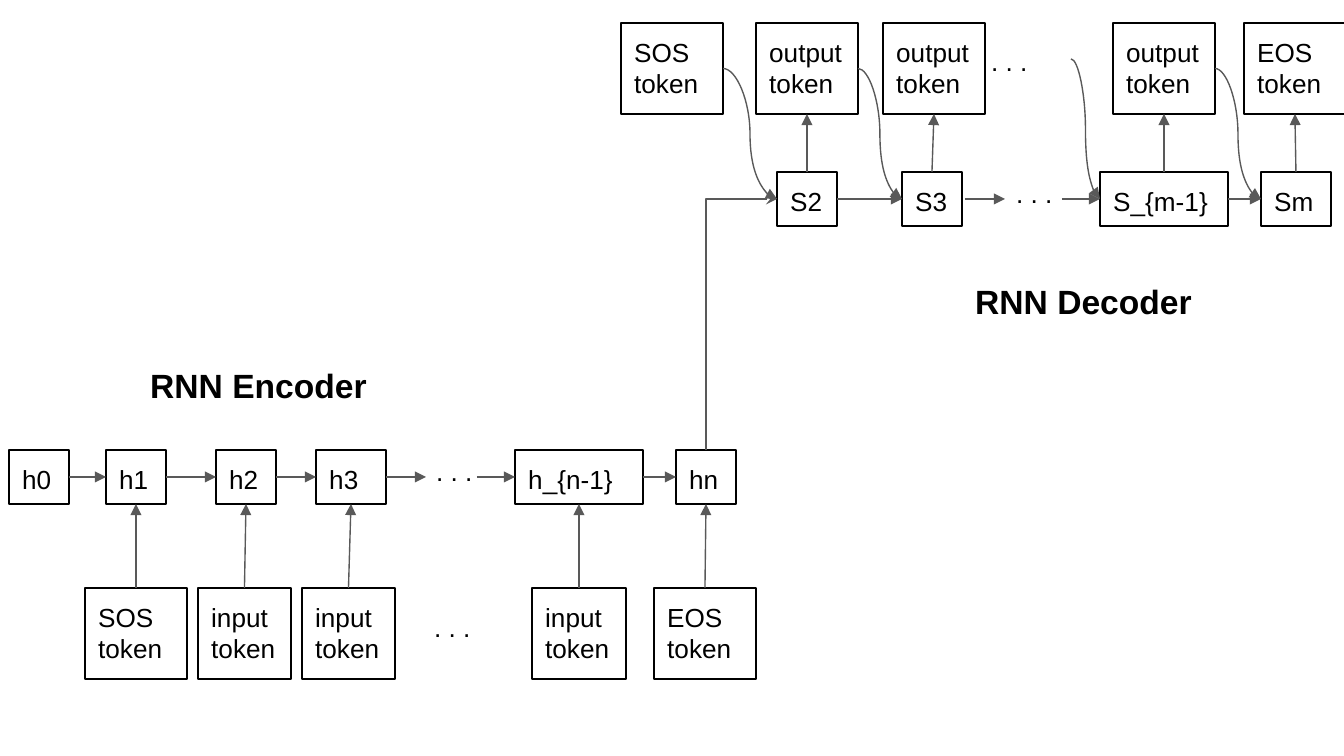
from lxml.etree import SubElement
from pptx import Presentation
from pptx.dml.color import RGBColor
from pptx.enum.shapes import MSO_CONNECTOR, MSO_SHAPE
from pptx.enum.text import MSO_ANCHOR, PP_ALIGN
from pptx.oxml.ns import qn
from pptx.util import Emu, Inches, Pt

PX_PER_INCH = 134.4
TOP, LEFT, BOTTOM, RIGHT = range(4)
BLACK, GREY = "000000", "595959"
TOKEN_HEIGHT, STATE_HEIGHT = 91, 54
ENCODER_TOKEN_Y, ENCODER_STATE_Y = 588, 450
DECODER_TOKEN_Y, DECODER_STATE_Y = 23, 172

# Each entry: text, left, width
ENCODER_TOKENS = [("SOS\ntoken", 85, 102), ("input token", 198, 93),
                  ("input token", 302, 93), ("input token", 532, 94),
                  ("EOS\ntoken", 654, 102)]
ENCODER_STATES = [("h0", 9, 60), ("h1", 106, 60), ("h2", 216, 60),
                  ("h3", 316, 70), ("h_{n-1}", 515, 128), ("hn", 676, 60)]
DECODER_TOKENS = [("SOS\ntoken", 621, 102), ("output token", 756, 102),
                  ("output token", 883, 102), ("output token", 1113, 102),
                  ("EOS\ntoken", 1244, 102)]
DECODER_STATES = [("S2", 777, 60), ("S3", 902, 60),
                  ("S_{m-1}", 1100, 128), ("Sm", 1261, 70)]
DOTS = [(423, 442), (421, 598), (978, 32), (1003, 164)]
HEADINGS = [("RNN Encoder", 137, 351), ("RNN Decoder", 962, 267)]


def px(value):
    return Emu(round(value * 914400 / PX_PER_INCH))


def colour(value):
    return RGBColor.from_string(value)


def write(shape, text, size=14, bold=False):
    frame = shape.text_frame
    frame.word_wrap = True
    frame.vertical_anchor = MSO_ANCHOR.TOP
    frame.margin_left = frame.margin_right = Inches(0.1)
    frame.margin_top = frame.margin_bottom = Inches(0.1)
    frame.text = text
    for para in frame.paragraphs:
        para.alignment = PP_ALIGN.LEFT
        for span in para.runs:
            span.font.name = "Arial"
            span.font.size = Pt(size)
            span.font.bold = bold
            span.font.color.rgb = colour(BLACK)


def add_box(slide, text, left, top, width, height):
    box = slide.shapes.add_shape(MSO_SHAPE.RECTANGLE, px(left), px(top),
                                 px(width), px(height))
    box.shadow.inherit = False
    box.fill.background()
    box.line.color.rgb = colour(BLACK)
    box.line.width = Pt(0.75)
    write(box, text)
    return box


def add_row(slide, entries, top, height):
    return [add_box(slide, text, left, top, width, height)
            for text, left, width in entries]


def add_label(slide, text, left, top, width, height, size=14, bold=False):
    label = slide.shapes.add_textbox(px(left), px(top), px(width), px(height))
    write(label, text, size, bold)


def add_arrow(slide, start, end, kind=MSO_CONNECTOR.STRAIGHT, head="triangle"):
    """Each end is either a (box, side) pair or an (x, y) point in px."""
    joined_start, joined_end = (not isinstance(place[0], int)
                                for place in (start, end))
    begin_point = (0, 0) if joined_start else start
    end_point = (0, 0) if joined_end else end
    arrow = slide.shapes.add_connector(kind, *map(px, begin_point),
                                       *map(px, end_point))
    if joined_start:
        arrow.begin_connect(*start)
    if joined_end:
        arrow.end_connect(*end)
    arrow.line.color.rgb = colour(GREY)
    arrow.line.width = Pt(0.75)
    SubElement(arrow.line._get_or_add_ln(), qn("a:tailEnd"), type=head)
    SubElement(arrow._element.spPr, qn("a:effectLst"))
    return arrow


def turn_into_corner(arrow):
    """Make an elbow that runs up and then right, with a single bend."""
    width, height = arrow.width, arrow.height
    arrow.left += (width - height) // 2
    arrow.top += (height - width) // 2
    arrow.width, arrow.height = height, width
    properties = arrow._element.spPr
    frame = properties.find(qn("a:xfrm"))
    frame.attrib.pop("flipV", None)
    frame.set("rot", str(270 * 60000))
    properties.find(qn("a:prstGeom")).set("prst", "bentConnector2")


def add_encoder(slide):
    tokens = add_row(slide, ENCODER_TOKENS, ENCODER_TOKEN_Y, TOKEN_HEIGHT)
    states = add_row(slide, ENCODER_STATES, ENCODER_STATE_Y, STATE_HEIGHT)
    for token, state in zip(tokens, states[1:]):
        add_arrow(slide, (token, TOP), (state, BOTTOM))
    h0, h1, h2, h3, before_last, last = states
    for left, right in ((h0, h1), (h1, h2), (h2, h3), (before_last, last)):
        add_arrow(slide, (left, RIGHT), (right, LEFT))
    middle = ENCODER_STATE_Y + STATE_HEIGHT // 2
    add_arrow(slide, (h3, RIGHT), (426, middle))
    add_arrow(slide, (477, middle), (before_last, LEFT))
    return last


def add_decoder(slide):
    tokens = add_row(slide, DECODER_TOKENS, DECODER_TOKEN_Y, TOKEN_HEIGHT)
    states = add_row(slide, DECODER_STATES, DECODER_STATE_Y, STATE_HEIGHT)
    for state, token in zip(states, tokens[1:]):
        add_arrow(slide, (state, TOP), (token, BOTTOM))
    s2, s3, before_last, last = states
    for left, right in ((s2, s3), (before_last, last)):
        add_arrow(slide, (left, RIGHT), (right, LEFT))
    middle = DECODER_STATE_Y + STATE_HEIGHT // 2
    add_arrow(slide, (965, middle), (1005, middle))
    add_arrow(slide, (1062, middle), (before_last, LEFT))
    feeds = [(tokens[0], RIGHT), (tokens[1], RIGHT), (1071, 59),
             (tokens[3], RIGHT)]
    for feed, state in zip(feeds, states):
        add_arrow(slide, feed, (state, LEFT), MSO_CONNECTOR.CURVE)
    return s2


def main():
    deck = Presentation()
    deck.slide_width, deck.slide_height = px(1344), px(756)
    slide = deck.slides.add_slide(deck.slide_layouts[6])
    last_encoder_state = add_encoder(slide)
    first_decoder_state = add_decoder(slide)
    turn_into_corner(add_arrow(slide, (last_encoder_state, TOP),
                               (first_decoder_state, LEFT),
                               MSO_CONNECTOR.ELBOW, "stealth"))
    for left, top in DOTS:
        add_label(slide, ". . .", left, top, 93, 54)
    for text, left, top in HEADINGS:
        add_label(slide, text, left, top, 284, 90, 18, True)
    deck.save("out.pptx")


if __name__ == "__main__":
    main()
